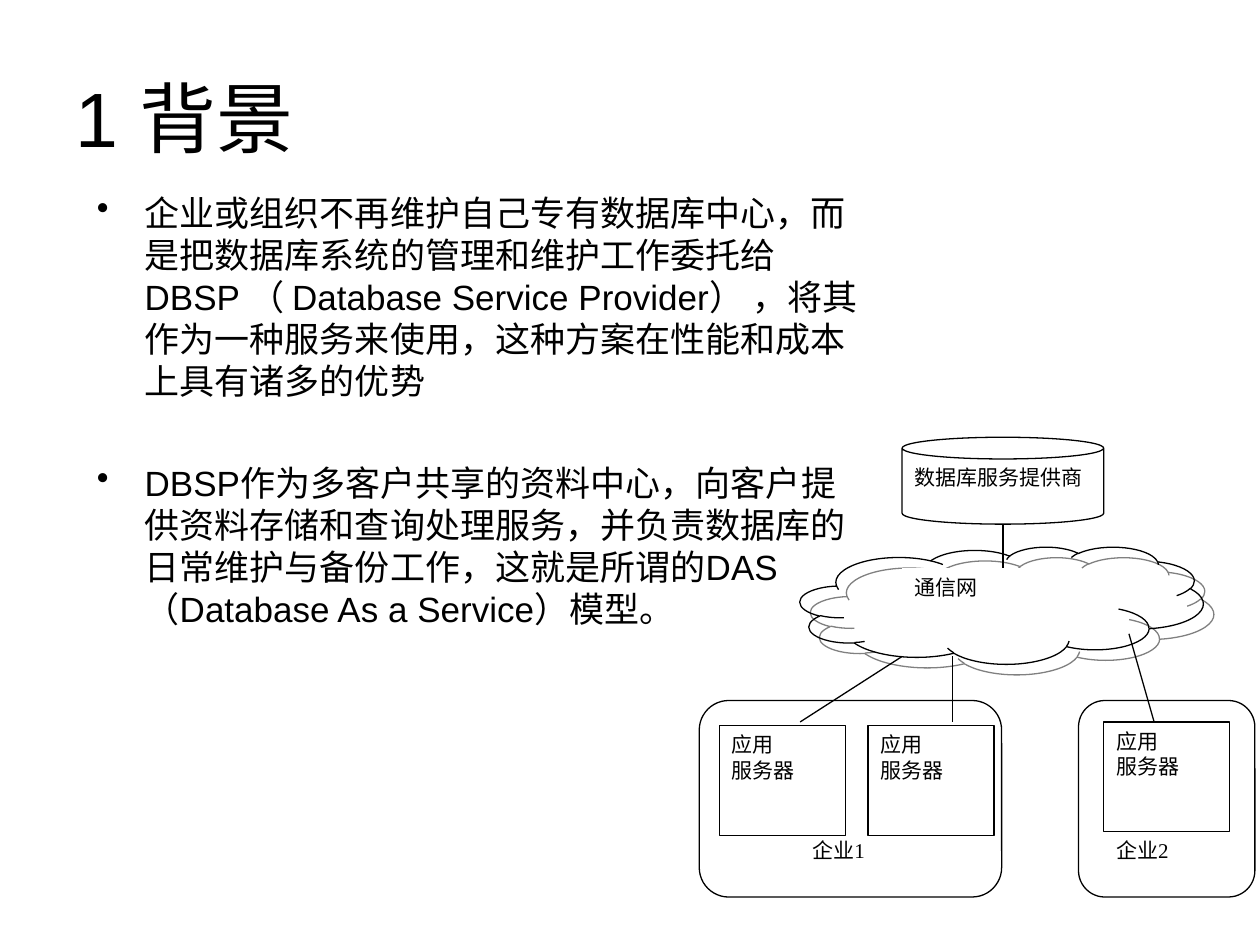
from lxml import etree
from pptx import Presentation
from pptx.dml.color import RGBColor
from pptx.enum.shapes import MSO_CONNECTOR, MSO_SHAPE
from pptx.enum.text import MSO_ANCHOR, MSO_AUTO_SIZE, PP_ALIGN
from pptx.oxml.ns import qn
from pptx.util import Inches, Pt

BLACK = RGBColor(0x00, 0x00, 0x00)
WHITE = RGBColor(0xFF, 0xFF, 0xFF)
SHADOW_GREY = RGBColor(0x80, 0x80, 0x80)

RECTANGLE = MSO_SHAPE.RECTANGLE
ROUNDED = MSO_SHAPE.ROUNDED_RECTANGLE
CAN = MSO_SHAPE.CAN
CLOUD = MSO_SHAPE.CLOUD
STRAIGHT = MSO_CONNECTOR.STRAIGHT
LEFT, JUSTIFY = PP_ALIGN.LEFT, PP_ALIGN.JUSTIFY
TOP, MIDDLE = MSO_ANCHOR.TOP, MSO_ANCHOR.MIDDLE

TITLE = "1 背景"
BULLETS = [
    "企业或组织不再维护自己专有数据库中心，而是把数据库系统的管理和维护工作委托给"
    "DBSP （ Database Service Provider） ，将其作为一种服务来使用，"
    "这种方案在性能和成本上具有诸多的优势",
    "DBSP作为多客户共享的资料中心，向客户提供资料存储和查询处理服务，"
    "并负责数据库的日常维护与备份工作，这就是所谓的DAS"
    "（Database As a Service）模型。",
]
SERVER = "应用\n服务器"


def place(shape, left, top, width, height):
    shape.left, shape.top = Inches(left), Inches(top)
    shape.width, shape.height = Inches(width), Inches(height)


def write_text(shape, text, size, font_name, alignment, anchor=TOP):
    text_frame = shape.text_frame
    text_frame.text = text
    text_frame.word_wrap = True
    text_frame.auto_size = MSO_AUTO_SIZE.NONE
    text_frame.vertical_anchor = anchor
    for paragraph in text_frame.paragraphs:
        paragraph.alignment = alignment
        for run in paragraph.runs:
            run.font.size = Pt(size)
            run.font.name = font_name
            run.font.color.rgb = BLACK


def add_title(slide):
    title = slide.shapes.title
    place(title, 0.5, 0.3, 9, 1.25)
    write_text(title, TITLE, 44, "Arial", LEFT, MIDDLE)


def add_bullets(slide):
    box = slide.shapes.add_textbox(
        Inches(0.67), Inches(1.47), Inches(6.26), Inches(4.95))
    write_text(box, "\n".join(BULLETS), 20, "Arial", LEFT)
    for index, paragraph in enumerate(box.text_frame.paragraphs):
        properties = paragraph._p.get_or_add_pPr()
        properties.set("marL", str(Inches(0.38)))
        properties.set("indent", str(-Inches(0.38)))
        etree.SubElement(properties, qn("a:buChar"), char="•")
        if index:
            paragraph.space_before = Pt(34)


def add_outline(slide, kind, left, top, width, height, text="",
                fill=WHITE, line=BLACK, adjustment=None):
    shape = slide.shapes.add_shape(
        kind, Inches(left), Inches(top), Inches(width), Inches(height))
    shape.shadow.inherit = False
    if fill is None:
        shape.fill.background()
    else:
        shape.fill.solid()
        shape.fill.fore_color.rgb = fill
    if line is None:
        shape.line.fill.background()
    else:
        shape.line.color.rgb = line
        shape.line.width = Pt(0.75)
    if adjustment is not None:
        shape.adjustments[0] = adjustment
    if text:
        write_text(shape, text, 12, "Times New Roman", JUSTIFY)
    return shape


def add_label(slide, text, left, top, width):
    box = slide.shapes.add_textbox(
        Inches(left), Inches(top), Inches(width), Inches(0.52))
    write_text(box, text, 12, "Times New Roman", JUSTIFY)


def add_link(slide, x1, y1, x2, y2):
    link = slide.shapes.add_connector(
        STRAIGHT, Inches(x1), Inches(y1), Inches(x2), Inches(y2))
    link.line.color.rgb = BLACK
    link.line.width = Pt(0.75)
    etree.SubElement(link._element.spPr, qn("a:effectLst"))


def cast_shadow(shape, distance, degrees):
    effects = shape._element.spPr.find(qn("a:effectLst"))
    shadow = etree.SubElement(
        effects, qn("a:outerShdw"), dist=str(Pt(distance)),
        dir=str(degrees * 60000), algn="ctr", rotWithShape="0")
    etree.SubElement(shadow, qn("a:srgbClr"), val=str(SHADOW_GREY))


def add_network_diagram(slide):
    # Companies and the communication network
    for left, width, adjustment in ((8.56, 1.4, 0.15), (5.55, 2.4, 0.15)):
        add_outline(slide, ROUNDED, left, 5.56, width, 1.56,
                    adjustment=adjustment)
    cloud = add_outline(slide, CLOUD, 6.35, 4.34, 3.2, 0.93, fill=None)
    cast_shadow(cloud, 8.5, 45)
    add_link(slide, 7.96, 3.99, 7.96, 4.51)
    add_outline(slide, RECTANGLE, 7.16, 4.51, 1.2, 0.52, "通信网", line=None)

    # Application servers with their links to the network
    for left, top in ((5.71, 5.76), (6.89, 5.76), (8.76, 5.73)):
        add_outline(slide, RECTANGLE, left, top, 1, 0.87, SERVER)
    for ends in ((6.35, 5.73, 7.16, 5.21),
                 (7.56, 5.21, 7.56, 5.73),
                 (8.96, 5.03, 9.16, 5.73)):
        add_link(slide, *ends)
    add_label(slide, "企业1", 6.35, 6.6, 0.8)
    add_label(slide, "企业2", 8.76, 6.6, 0.8)

    # Database service provider
    add_outline(slide, CAN, 7.16, 3.47, 1.6, 0.69, adjustment=0.25)
    add_label(slide, "数据库服务提供商", 7.16, 3.64, 1.8)


def main():
    presentation = Presentation()
    presentation.slide_width = Inches(10)
    presentation.slide_height = Inches(7.5)
    slide = presentation.slides.add_slide(presentation.slide_layouts[5])
    add_title(slide)
    add_network_diagram(slide)
    add_bullets(slide)
    presentation.save("out.pptx")


if __name__ == "__main__":
    main()
